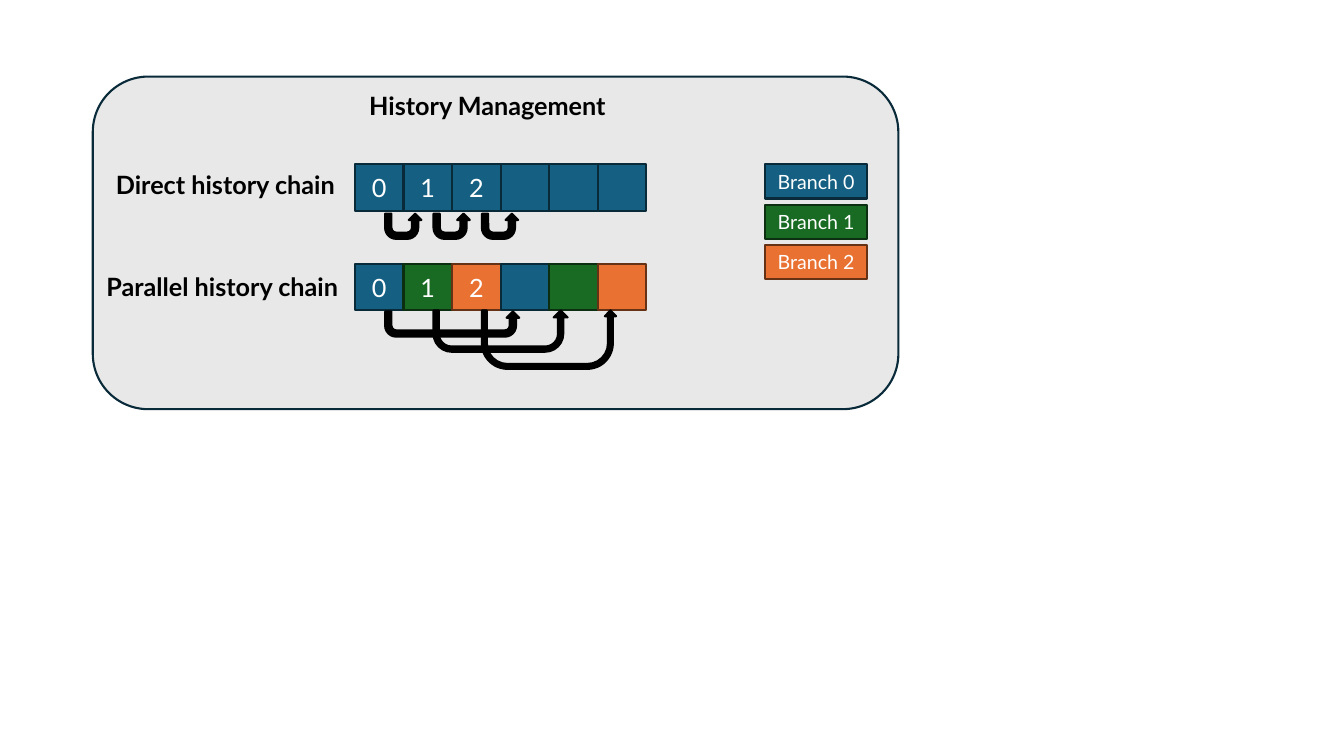
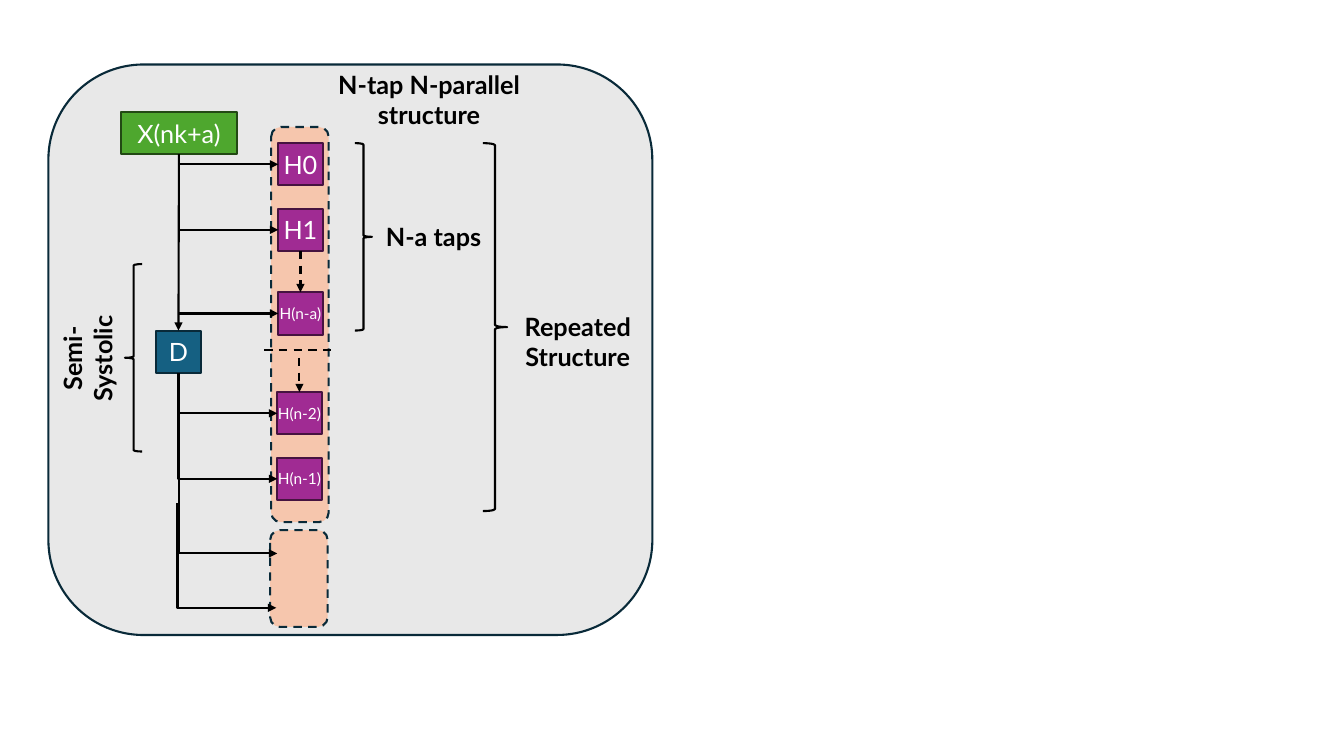
import pptx
import pptx.util
import pptx.dml.color
import pptx.enum.dml
import pptx.enum.shapes
import pptx.enum.text
import pptx.oxml
import pptx.oxml.ns

Inches, Pt = pptx.util.Inches, pptx.util.Pt
RGB = pptx.dml.color.RGBColor
KIND = pptx.enum.shapes.MSO_SHAPE
LINK = pptx.enum.shapes.MSO_CONNECTOR
DASH = pptx.enum.dml.MSO_LINE.DASH
ALIGN = pptx.enum.text.PP_ALIGN
ANCHOR = pptx.enum.text.MSO_ANCHOR
FIT = pptx.enum.text.MSO_AUTO_SIZE

FONT = "Lato"
BLACK, WHITE = RGB(0, 0, 0), RGB(255, 255, 255)
GREY, PEACH = RGB(0xE8, 0xE8, 0xE8), RGB(0xF6, 0xC6, 0xAD)
NAVY = RGB(0x09, 0x2A, 0x39)
# Pairs of fill and edge
BLUE = RGB(0x15, 0x60, 0x82), NAVY
GREEN = RGB(0x19, 0x6B, 0x24), RGB(0x0B, 0x2F, 0x10)
ORANGE = RGB(0xE9, 0x71, 0x32), RGB(0x66, 0x32, 0x16)
LIME = RGB(0x4E, 0xA7, 0x2E), RGB(0x22, 0x49, 0x14)
PURPLE = RGB(0xA0, 0x2B, 0x93), RGB(0x46, 0x13, 0x40)
PANEL, GROUP, INK = (GREY, NAVY), (PEACH, NAVY), (BLACK, BLACK)
OPEN = None, BLACK
BRANCH = BLUE, GREEN, ORANGE


def write(shape, text, size=18, color=WHITE, bold=False, side=0.1):
    """Fill a shape with centred text; side is the left and right inset."""
    frame = shape.text_frame
    frame.word_wrap = True
    frame.margin_left = frame.margin_right = Inches(side)
    para = frame.paragraphs[0]
    para.alignment = ALIGN.CENTER
    run = para.add_run()
    run.text = text
    font = run.font
    font.name, font.size, font.bold = FONT, Pt(size), bold
    font.color.rgb = color


def label(slide, text, left, top, width, height=0.4, turn=0):
    box = slide.shapes.add_textbox(*map(Inches, (left, top, width, height)))
    box.rotation = turn
    write(box, text, color=BLACK, bold=True)
    box.text_frame.auto_size = FIT.SHAPE_TO_FIT_TEXT


def block(slide, left, top, width, height, paint, text="", kind=KIND.RECTANGLE,
          dash=False, **style):
    shape = slide.shapes.add_shape(
        kind, *map(Inches, (left, top, width, height)))
    shape.shadow.inherit = False
    fill, edge = paint
    if fill is None:
        shape.fill.background()
    else:
        shape.fill.solid()
        shape.fill.fore_color.rgb = fill
    shape.line.color.rgb = edge
    shape.line.width = Pt(1.5)
    if dash:
        shape.line.dash_style = DASH
    if text:
        shape.text_frame.vertical_anchor = ANCHOR.MIDDLE
        write(shape, text, **style)
    return shape


def uturn(slide, left, top, width, height, shaft=0.25, wing=0.25, tip=0.25):
    """Draw an arrow that dips below its start and comes back up."""
    shape = block(slide, left, top, width, height, INK, kind=KIND.U_TURN_ARROW)
    for i, value in enumerate((shaft, wing, tip, 0.438, 1)):
        shape.adjustments[i] = value
    shape._element.spPr.xfrm.set("flipV", "1")


def link(slide, start, end, kind=LINK.STRAIGHT, dash=False, head=True):
    line = slide.shapes.add_connector(kind, *map(Inches, (*start, *end)))
    line.line.color.rgb = BLACK
    line.line.width = Pt(1.5)
    if dash:
        line.line.dash_style = DASH
    props = line._element.spPr
    if head:
        edge = props.find(pptx.oxml.ns.qn("a:ln"))
        edge.append(pptx.oxml.parse_xml(
            f'<a:tailEnd {pptx.oxml.ns.nsdecls("a")} type="triangle"/>'))
    props.append(pptx.oxml.parse_xml(
        f'<a:effectLst {pptx.oxml.ns.nsdecls("a")}/>'))
    return line


def elbow(slide, left, top, right, foot):
    """Draw an arrow that runs down, then right."""
    x, y = (left + right) / 2, (top + foot) / 2
    across, down = (right - left) / 2, (foot - top) / 2
    line = link(slide, (x - down, y - across), (x + down, y + across),
                LINK.ELBOW)
    props = line._element.spPr
    props.find(pptx.oxml.ns.qn("a:prstGeom")).set("prst", "bentConnector2")
    props.xfrm.set("rot", str(270 * 60000))
    props.xfrm.set("flipH", "1")


def chain(slide, top, paints):
    """Draw a row of six cells, the first three numbered."""
    width = 2.89 / 6
    for i in range(6):
        block(slide, 3.52 + i * width, top, width, 0.46,
              paints[i % len(paints)], str(i) if i < 3 else "")


def history(slide):
    block(slide, 0.92, 0.76, 7.99, 3.3, PANEL, kind=KIND.ROUNDED_RECTANGLE)
    chain(slide, 1.63, [BLUE])
    for i, paint in enumerate(BRANCH):
        block(slide, 7.59, 1.63 + 0.4 * i, 1.01, 0.34, paint, f"Branch {i}",
              size=14)
        uturn(slide, 3.82 + 0.48 * i, 2.12, 0.36, 0.25)
    chain(slide, 2.62, BRANCH)
    uturn(slide, 3.82, 3.09, 1.33, 0.25)
    uturn(slide, 4.3, 3.08, 1.33, 0.41, 0.127, 0.168, 0.168)
    uturn(slide, 4.78, 3.08, 1.33, 0.58, 0.084, 0.095, 0.099)
    label(slide, "Direct history chain", 1.02, 1.63, 2.43)
    label(slide, "Parallel history chain", 0.87, 2.64, 2.67)
    label(slide, "History Management", 3.5, 0.85, 2.67)


def taps(slide):
    trunk = 1.77
    block(slide, 0.48, 0.64, 5.99, 5.66, PANEL, kind=KIND.ROUNDED_RECTANGLE)
    for left, top, height in ((2.68, 5.26, 0.96), (2.69, 1.26, 3.92)):
        block(slide, left, top, 0.57, height, GROUP,
              kind=KIND.ROUNDED_RECTANGLE, dash=True)
    entry = block(slide, 1.2, 1.11, 1.15, 0.42, LIME, "X(nk+a)", side=0)
    delay = block(slide, 1.55, 3.28, 0.44, 0.42, BLUE, "D")
    cells = {}
    for text, left, top, size in (
            ("H0", 2.76, 1.42, 18), ("H1", 2.76, 2.07, 18),
            ("H(n-a)", 2.76, 2.9, 11), ("H(n-2)", 2.75, 3.89, 11),
            ("H(n-1)", 2.75, 4.54, 11)):
        cells[text] = block(slide, left, top, 0.44, 0.42, PURPLE, text,
                            size=size, side=0)
        if text != "H(n-1)":
            mid = top + 0.21
            feed = link(slide, (trunk, mid), (left, mid))
            feed.end_connect(cells[text], 1)

    drop = link(slide, (trunk, 1.53), (trunk, 3.28))
    drop.begin_connect(entry, 2)
    drop.end_connect(delay, 0)
    skip = link(slide, (2.98, 2.49), (2.98, 2.9), dash=True)
    skip.begin_connect(cells["H1"], 2)
    skip.end_connect(cells["H(n-a)"], 0)
    link(slide, (2.62, 3.47), (3.33, 3.47), dash=True, head=False)
    skip = link(slide, (2.97, 3.55), (2.97, 3.89), dash=True)
    skip.end_connect(cells["H(n-2)"], 0)
    elbow(slide, trunk, 3.7, 2.75, 4.75)
    elbow(slide, 1.78, 4.44, 2.75, 5.49)
    elbow(slide, 1.76, 4.99, 2.74, 6.03)

    for left, top, width, height, kind in (
            (3.52, 1.42, 0.17, 1.86, KIND.RIGHT_BRACE),
            (4.79, 1.42, 0.24, 3.65, KIND.RIGHT_BRACE),
            (1.24, 2.62, 0.17, 1.86, KIND.LEFT_BRACE)):
        block(slide, left, top, width, height, OPEN, kind=kind)
    label(slide, "N-tap N-parallel structure", 3.11, 0.64, 2.29, 0.71)
    label(slide, "N-a taps", 3.67, 2.15, 1.26)
    label(slide, "Repeated Structure", 4.99, 3.04, 1.48, 0.71)
    label(slide, "Semi-Systolic", 0.09, 3.2, 1.56, 0.71, turn=270)


def main():
    deck = pptx.Presentation()
    deck.slide_width, deck.slide_height = Inches(13.33), Inches(7.5)
    for draw in (history, taps):
        draw(deck.slides.add_slide(deck.slide_layouts[6]))
    deck.save("out.pptx")


if __name__ == "__main__":
    main()
